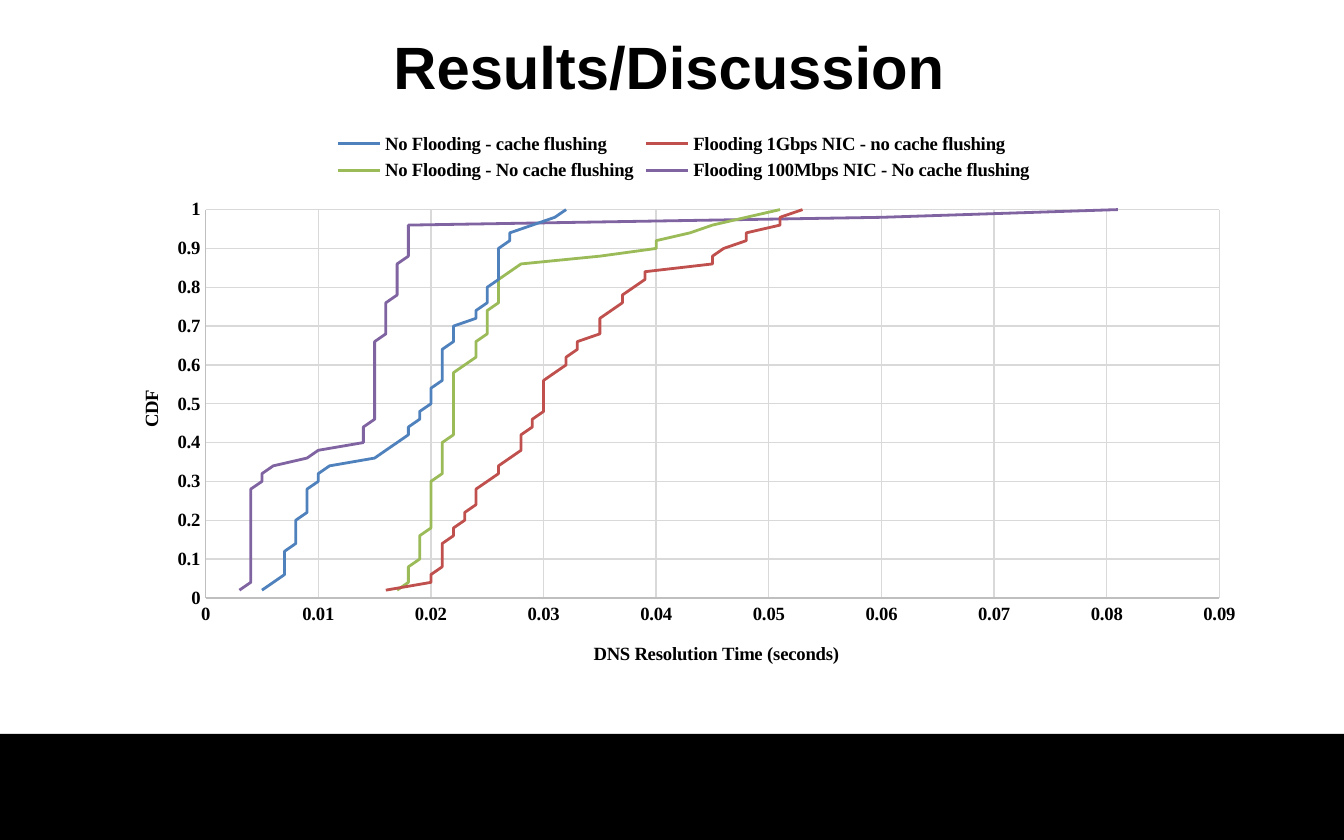
import pptx
import pptx.chart.data
import pptx.dml.color
import pptx.enum.chart
import pptx.enum.shapes
import pptx.enum.text
import pptx.oxml
import pptx.oxml.ns
import pptx.util

Inches = pptx.util.Inches
Pt = pptx.util.Pt
RGBColor = pptx.dml.color.RGBColor
qn = pptx.oxml.ns.qn

BLACK = RGBColor(0x00, 0x00, 0x00)
BLUE = RGBColor(0x4F, 0x81, 0xBD)
RED = RGBColor(0xC0, 0x50, 0x4D)
GREEN = RGBColor(0x9B, 0xBB, 0x59)
PURPLE = RGBColor(0x80, 0x64, 0xA2)
AXIS = RGBColor(0xBF, 0xBF, 0xBF)
GRID = RGBColor(0xD9, 0xD9, 0xD9)

TITLE = "Results/Discussion"
X_NAME = "DNS Resolution Time (seconds)"
Y_NAME = "CDF"
SERIF = "Times New Roman"

MILLIS = [
    ("No Flooding - cache flushing", BLUE, [
        5, 6, 7, 7, 7, 7, 8, 8, 8, 8,
        9, 9, 9, 9, 10, 10, 11, 15, 16, 17,
        18, 18, 19, 19, 20, 20, 20, 21, 21, 21,
        21, 21, 22, 22, 22, 24, 24, 25, 25, 25,
        26, 26, 26, 26, 26, 27, 27, 29, 31, 32]),
    ("Flooding 1Gbps NIC - no cache flushing", RED, [
        16, 20, 20, 21, 21, 21, 21, 22, 22, 23,
        23, 24, 24, 24, 25, 26, 26, 27, 28, 28,
        28, 29, 29, 30, 30, 30, 30, 30, 31, 32,
        32, 33, 33, 35, 35, 35, 36, 37, 37, 38,
        39, 39, 45, 45, 46, 48, 48, 51, 51, 53]),
    ("No Flooding - No cache flushing", GREEN, [
        17, 18, 18, 18, 19, 19, 19, 19, 20, 20,
        20, 20, 20, 20, 20, 21, 21, 21, 21, 21,
        22, 22, 22, 22, 22, 22, 22, 22, 22, 23,
        24, 24, 24, 25, 25, 25, 25, 26, 26, 26,
        26, 27, 28, 35, 40, 40, 43, 45, 48, 51]),
    ("Flooding 100Mbps NIC - No cache flushing", PURPLE, [
        3, 4, 4, 4, 4, 4, 4, 4, 4, 4,
        4, 4, 4, 4, 5, 5, 6, 9, 10, 14,
        14, 14, 15, 15, 15, 15, 15, 15, 15, 15,
        15, 15, 15, 16, 16, 16, 16, 16, 17, 17,
        17, 17, 17, 18, 18, 18, 18, 18, 60, 81]),
]


def style(font, size, name):
    font.size = Pt(size)
    font.name = name
    font.bold = True
    font.color.rgb = BLACK


def stroke(line, color, width):
    line.color.rgb = color
    line.width = Pt(width)


def place(node, **spots):
    layout = node.find(qn("c:layout"))
    if layout is None:
        layout = pptx.oxml.parse_xml(
            f"<c:layout {pptx.oxml.ns.nsdecls('c')}/>")
        text = node.find(qn("c:tx"))
        node.insert(0 if text is None else 1, layout)
    for child in list(layout):
        layout.remove(child)
    manual = layout.makeelement(qn("c:manualLayout"), {})
    layout.append(manual)
    modes = {"xMode": "edge", "yMode": "edge"}
    if "w" in spots:
        modes = {"layoutTarget": "inner", **modes}
    for key, value in {**modes, **spots}.items():
        part = manual.makeelement(qn("c:" + key), {"val": str(value)})
        manual.append(part)


def format_axis(axis, name, top, step, x, y):
    axis.minimum_scale = 0
    axis.maximum_scale = top
    axis.major_unit = step
    axis.major_tick_mark = pptx.enum.chart.XL_TICK_MARK.NONE
    axis.minor_tick_mark = pptx.enum.chart.XL_TICK_MARK.NONE
    axis.has_major_gridlines = True
    stroke(axis.major_gridlines.format.line, GRID, 0.75)
    stroke(axis.format.line, AXIS, 0.75)
    style(axis.tick_labels.font, 10, SERIF)
    frame = axis.axis_title.text_frame
    frame.text = name
    style(frame.paragraphs[0].runs[0].font, 10, SERIF)
    place(axis.axis_title._element, x=x, y=y)


def add_band(slide):
    band = slide.shapes.add_shape(
        pptx.enum.shapes.MSO_SHAPE.RECTANGLE,
        Inches(0), Inches(5.46), Inches(10), Inches(0.79))
    band.shadow.inherit = False
    band.fill.solid()
    band.fill.fore_color.rgb = BLACK
    band.line.fill.background()


def add_title(slide):
    title = slide.shapes.title
    title.left, title.top = Inches(-0.02), Inches(0.17)
    title.width, title.height = Inches(10), Inches(1.12)
    frame = title.text_frame
    frame.text = TITLE
    frame.vertical_anchor = pptx.enum.text.MSO_ANCHOR.TOP
    frame.paragraphs[0].alignment = pptx.enum.text.PP_ALIGN.CENTER
    style(frame.paragraphs[0].runs[0].font, 32, "Arial")


def add_plot(slide):
    data = pptx.chart.data.XyChartData()
    for name, _, times in MILLIS:
        series = data.add_series(name)
        for rank, time in enumerate(times, 1):
            series.add_data_point(time / 1000, rank / len(times))
    chart = slide.shapes.add_chart(
        pptx.enum.chart.XL_CHART_TYPE.XY_SCATTER_LINES_NO_MARKERS,
        Inches(0.75), Inches(0.88), Inches(8.67), Inches(4.25), data).chart
    chart.has_title = False
    chart.font.size = Pt(10)
    chart.font.name = "Calibri"
    chart.font.color.rgb = BLACK
    chart.has_legend = True
    chart.legend.position = pptx.enum.chart.XL_LEGEND_POSITION.TOP
    chart.legend.include_in_layout = False
    style(chart.legend.font, 10, SERIF)
    plot = chart.plots[0]
    plot.vary_by_categories = False
    for series, (_, color, _) in zip(plot.series, MILLIS):
        series.smooth = False
        stroke(series.format.line, color, 1.5)
    format_axis(chart.category_axis, X_NAME, 0.09, 0.01, 0.42, 0.91)
    format_axis(chart.value_axis, Y_NAME, 1, 0.1, 0.03, 0.47)
    turn = chart.value_axis.axis_title.text_frame._txBody.bodyPr
    turn.set("rot", "-5400000")
    turn.set("vert", "horz")
    area = chart._chartSpace.chart.plotArea
    place(area, x=0.09, y=0.16, w=0.87, h=0.68)


def main():
    deck = pptx.Presentation()
    deck.slide_width = Inches(10)
    deck.slide_height = Inches(6.25)
    slide = deck.slides.add_slide(deck.slide_layouts[5])
    add_band(slide)
    add_plot(slide)
    add_title(slide)
    deck.save("out.pptx")


if __name__ == "__main__":
    main()
